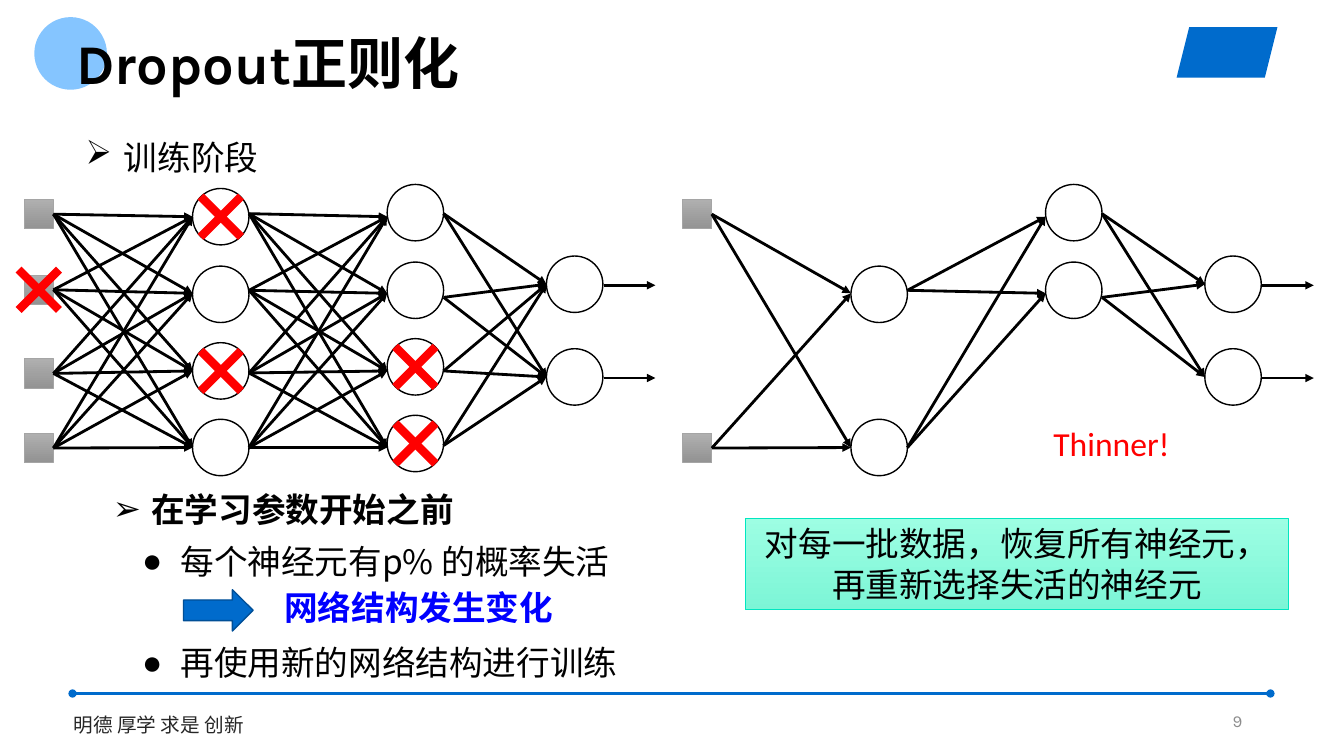
from lxml import etree
from pptx import Presentation
from pptx.dml.color import RGBColor
from pptx.enum.shapes import MSO_CONNECTOR, MSO_SHAPE
from pptx.enum.text import MSO_ANCHOR, MSO_AUTO_SIZE, PP_ALIGN
from pptx.oxml.ns import qn
from pptx.util import Inches, Pt

STRAIGHT = MSO_CONNECTOR.STRAIGHT
OVAL, RECT = MSO_SHAPE.OVAL, MSO_SHAPE.RECTANGLE
PARALLELOGRAM, RIGHT_ARROW = MSO_SHAPE.PARALLELOGRAM, MSO_SHAPE.RIGHT_ARROW
LEFT, CENTER, RIGHT = PP_ALIGN.LEFT, PP_ALIGN.CENTER, PP_ALIGN.RIGHT
TOP, MIDDLE = MSO_ANCHOR.TOP, MSO_ANCHOR.MIDDLE
NO_FIT = MSO_AUTO_SIZE.NONE

BLACK = RGBColor(0x00, 0x00, 0x00)
RED = RGBColor(0xFF, 0x00, 0x00)
EMPHASIS_BLUE = RGBColor(0x00, 0x00, 0xFF)
THEME_BLUE = RGBColor(0x00, 0x6B, 0xCC)
DARK_BLUE = RGBColor(0x00, 0x4F, 0x97)
LIGHT_BLUE = RGBColor(0x85, 0xC5, 0xFF)
MOTTO_GRAY = RGBColor(0x26, 0x26, 0x26)
NUMBER_GRAY = RGBColor(0x8C, 0x8C, 0x8C)
INPUT_LIGHT = RGBColor(0xAF, 0xAF, 0xAF)
INPUT_DARK = RGBColor(0x93, 0x93, 0x93)
INPUT_EDGE = RGBColor(0xA5, 0xA5, 0xA5)
MINT_LIGHT = RGBColor(0x9D, 0xFE, 0xE3)
MINT_DARK = RGBColor(0x7C, 0xF5, 0xD6)
MINT_EDGE = RGBColor(0x01, 0xE6, 0xC0)

CJK_FONT, LATIN_FONT, NOTE_FONT = "Noto Sans CJK SC", "Karla", "Calibri"
LINE_24 = 28.8  # line height in points for 24 pt text
HANGING = 0.38

# Network geometry in inches, relative to the left edge of a network
SQUARE, CIRCLE = 0.29, 0.56
INPUT_X, HIDDEN1_X, HIDDEN2_X, OUTPUT_X = 0.24, 1.91, 3.84, 5.42
INPUT_TOPS = [1.98, 2.73, 3.56, 4.3]
HIDDEN1_TOPS = [1.87, 2.64, 3.4, 4.16]
HIDDEN2_TOPS = [1.83, 2.6, 3.36, 4.12]
OUTPUT_TOPS = [2.54, 3.46]
HIDDEN_IN_Y = [2.15, 2.91, 3.68, 4.44]
HIDDEN1_OUT_Y = [2.12, 2.88, 3.7, 4.44]
HIDDEN2_OUT_Y = [2.12, 2.95, 3.68, 4.42]
OUTPUT_IN_Y = [2.82, 3.74]


def box(left, top, width, height):
    return [Inches(v) for v in (left, top, width, height)]


def add_block(slide, kind, place, fill=None, edge=None, edge_width=1):
    """Add a shape; fill is None, one colour, or a (top, bottom) gradient pair."""
    block = slide.shapes.add_shape(kind, *box(*place))
    block.shadow.inherit = False
    if fill is None:
        block.fill.background()
    elif isinstance(fill, RGBColor):
        block.fill.solid()
        block.fill.fore_color.rgb = fill
    else:
        block.fill.gradient()
        block.fill.gradient_angle = 270
        for stop, color, position in zip(block.fill.gradient_stops, fill, (0, 1)):
            stop.color.rgb = color
            stop.position = position
    if edge is None:
        block.line.fill.background()
    else:
        block.line.color.rgb = edge
        block.line.width = Pt(edge_width)
    return block


def add_line(slide, start, end, color, width, head=None, tail=None):
    line = slide.shapes.add_connector(STRAIGHT, *box(*start, *end))
    line.line.color.rgb = color
    line.line.width = Pt(width)
    outline = line.line._get_or_add_ln()
    for tag, kind in (("a:headEnd", head), ("a:tailEnd", tail)):
        if kind:
            etree.SubElement(outline, qn(tag)).set("type", kind)
    etree.SubElement(line._element.spPr, qn("a:effectLst"))
    return line


def add_arrow(slide, start, end):
    return add_line(slide, start, end, BLACK, 2, tail="triangle")


def write(paragraph, text, size, color, font=CJK_FONT, bold=False,
          align=LEFT, line=None, before=0, bullet=None, margin=HANGING):
    """Fill one paragraph; line is an exact line height in points."""
    if bullet:
        props = paragraph._p.get_or_add_pPr()
        props.set("marL", str(Inches(margin)))
        props.set("indent", str(-Inches(HANGING)))
        etree.SubElement(props, qn("a:buChar")).set("char", bullet)
    paragraph.alignment = align
    paragraph.space_before = Pt(before)
    if line:
        paragraph.line_spacing = Pt(line)
    run = paragraph.add_run()
    run.text = text
    run.font.size = Pt(size)
    run.font.bold = bold
    run.font.color.rgb = color
    run.font.name = font
    east_asian = etree.SubElement(run._r.get_or_add_rPr(), qn("a:ea"))
    east_asian.set("typeface", CJK_FONT)


def prepare_frame(holder, anchor=TOP):
    frame = holder.text_frame
    frame.word_wrap = True
    frame.auto_size = NO_FIT
    frame.vertical_anchor = anchor
    return frame


def add_text(slide, place, text, size, color, anchor=TOP, **style):
    frame = prepare_frame(slide.shapes.add_textbox(*box(*place)), anchor)
    write(frame.paragraphs[0], text, size, color, **style)


def place_holder(holder, place):
    holder.left, holder.top, holder.width, holder.height = box(*place)
    return prepare_frame(holder)


def add_cross(slide, left, top, size):
    x, y, reach = left + size / 2, top + size / 2, 0.2
    for slope in (1, -1):
        add_line(slide, (x - reach, y - slope * reach),
                 (x + reach, y + slope * reach), RED, 6)


def add_network(slide, shift, inputs, hidden1, hidden2, dropped=()):
    """Draw the kept neurons, given by index, and cross out the dropped ones."""
    input_x, hidden1_x, hidden2_x, output_x = (
        shift + x for x in (INPUT_X, HIDDEN1_X, HIDDEN2_X, OUTPUT_X))
    squares = {i: add_block(slide, RECT, (input_x, INPUT_TOPS[i], SQUARE, SQUARE),
                            (INPUT_LIGHT, INPUT_DARK), INPUT_EDGE, 0.5)
               for i in inputs}
    outputs = range(len(OUTPUT_TOPS))
    for x, tops, kept in ((hidden1_x, HIDDEN1_TOPS, hidden1),
                          (hidden2_x, HIDDEN2_TOPS, hidden2),
                          (output_x, OUTPUT_TOPS, outputs)):
        for i in kept:
            add_block(slide, OVAL, (x, tops[i], CIRCLE, CIRCLE), edge=BLACK)

    for i, square in squares.items():
        for j in hidden1:
            start = (input_x + SQUARE, INPUT_TOPS[i] + SQUARE / 2)
            arrow = add_arrow(slide, start, (hidden1_x, HIDDEN_IN_Y[j]))
            arrow.begin_connect(square, 3)
    for x, out_y, kept, next_x, in_y, next_kept in (
            (hidden1_x, HIDDEN1_OUT_Y, hidden1, hidden2_x, HIDDEN_IN_Y, hidden2),
            (hidden2_x, HIDDEN2_OUT_Y, hidden2, output_x, OUTPUT_IN_Y, outputs)):
        for i in kept:
            for j in next_kept:
                add_arrow(slide, (x + CIRCLE, out_y[i]), (next_x, in_y[j]))
    for top in OUTPUT_TOPS:
        y = top + 0.29
        add_arrow(slide, (output_x + 0.57, y), (output_x + 1.08, y))
    for x, top, size in dropped:
        add_cross(slide, shift + x, top, size)


def add_frame_decor(slide):
    dot = add_block(slide, OVAL, (0.34, 0.17, 0.72, 0.72), LIGHT_BLUE)
    slide.shapes.title._element.addprevious(dot._element)
    add_block(slide, PARALLELOGRAM, (11.67, 0.27, 1, 0.5), THEME_BLUE)
    add_line(slide, (0.72, 6.88), (12.6, 6.88), THEME_BLUE, 1.75, "oval", "oval")
    add_text(slide, (0.63, 6.98, 2.56, 0.34), "明德 厚学 求是 创新", 14,
             MOTTO_GRAY, font=LATIN_FONT, line=20)
    add_text(slide, (9.42, 6.95, 3, 0.4), "9", 12, NUMBER_GRAY, MIDDLE,
             font=LATIN_FONT, align=RIGHT)


def add_steps(body):
    frame = place_holder(body, (1.02, 4.8, 6.3, 2.02))
    steps = (("在学习参数开始之前", "➢", HANGING, True, 0),
             ("每个神经元有p% 的概率失活", "●", 0.67, False, 8),
             ("再使用新的网络结构进行训练", "●", 0.67, False, 44))
    for i, (text, bullet, margin, bold, before) in enumerate(steps):
        paragraph = frame.add_paragraph() if i else frame.paragraphs[0]
        write(paragraph, text, 24, BLACK, bold=bold, line=LINE_24,
              before=before, bullet=bullet, margin=margin)


def main():
    deck = Presentation()
    deck.slide_width, deck.slide_height = Inches(13.33), Inches(7.5)
    slide = deck.slides.add_slide(deck.slide_layouts[1])
    title, body = slide.placeholders

    add_frame_decor(slide)
    heading = place_holder(title, (0.66, 0.23, 5.06, 0.76))
    write(heading.paragraphs[0], "Dropout正则化", 40, BLACK, LATIN_FONT, True, line=48)
    add_text(slide, (0.75, 1.04, 11.22, 0.64), "训练阶段", 24, BLACK,
             line=48, bullet="➢")

    every = range(4)
    dropped = ((INPUT_X, INPUT_TOPS[1], SQUARE),
               (HIDDEN1_X, HIDDEN1_TOPS[0], CIRCLE),
               (HIDDEN1_X, HIDDEN1_TOPS[2], CIRCLE),
               (HIDDEN2_X, HIDDEN2_TOPS[2], CIRCLE),
               (HIDDEN2_X, HIDDEN2_TOPS[3], CIRCLE))
    add_network(slide, 0, every, every, every, dropped)
    add_network(slide, 6.53, (0, 3), (1, 3), (0, 1))
    add_text(slide, (10.11, 4.15, 1.83, 0.5), "Thinner!", 24, RED,
             font=NOTE_FONT, align=CENTER)

    add_steps(body)
    add_block(slide, RIGHT_ARROW, (1.82, 5.85, 0.69, 0.41), THEME_BLUE, DARK_BLUE)
    add_text(slide, (2.72, 5.77, 6.28, 0.5), "网络结构发生变化", 24,
             EMPHASIS_BLUE, bold=True, line=LINE_24)
    callout = add_block(slide, RECT, (7.39, 5.14, 5.39, 0.91),
                        (MINT_LIGHT, MINT_DARK), MINT_EDGE, 0.5)
    write(prepare_frame(callout).paragraphs[0],
          "对每一批数据，恢复所有神经元，再重新选择失活的神经元", 24, BLACK,
          align=CENTER, line=LINE_24)
    deck.save("out.pptx")


if __name__ == "__main__":
    main()
